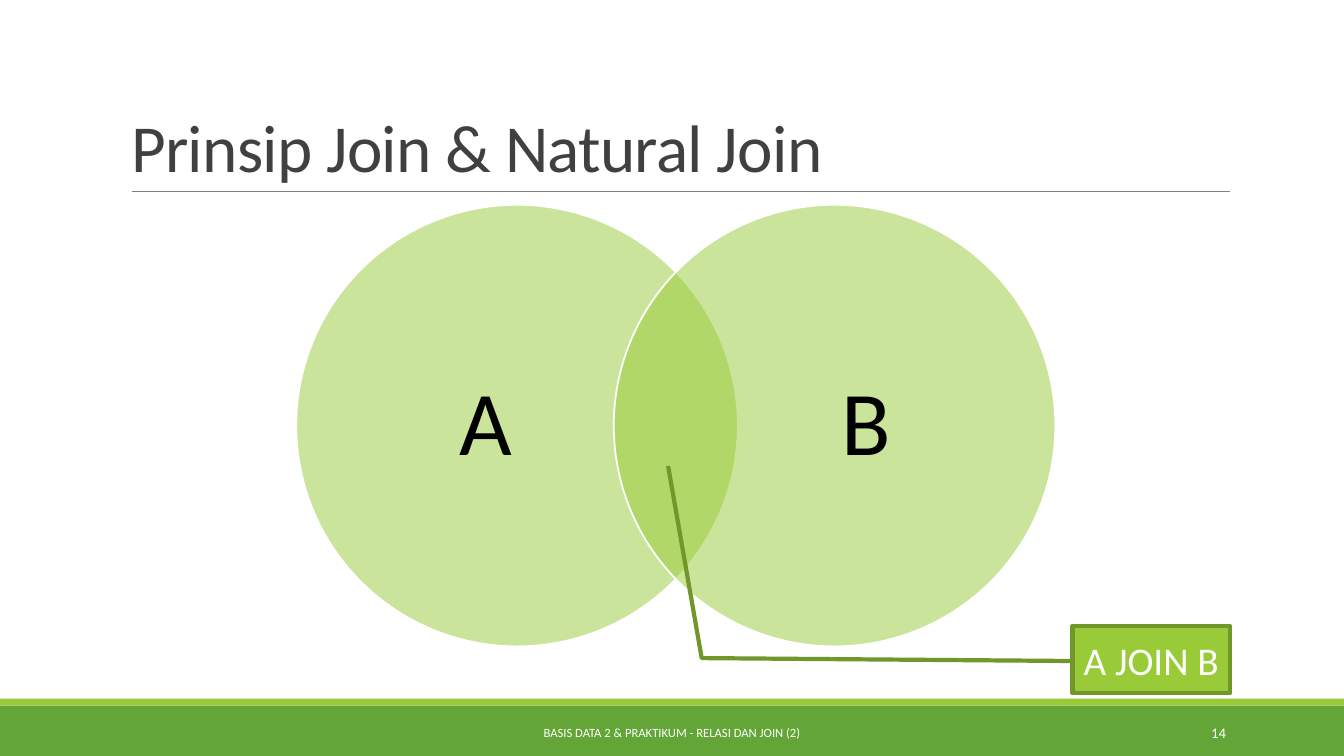
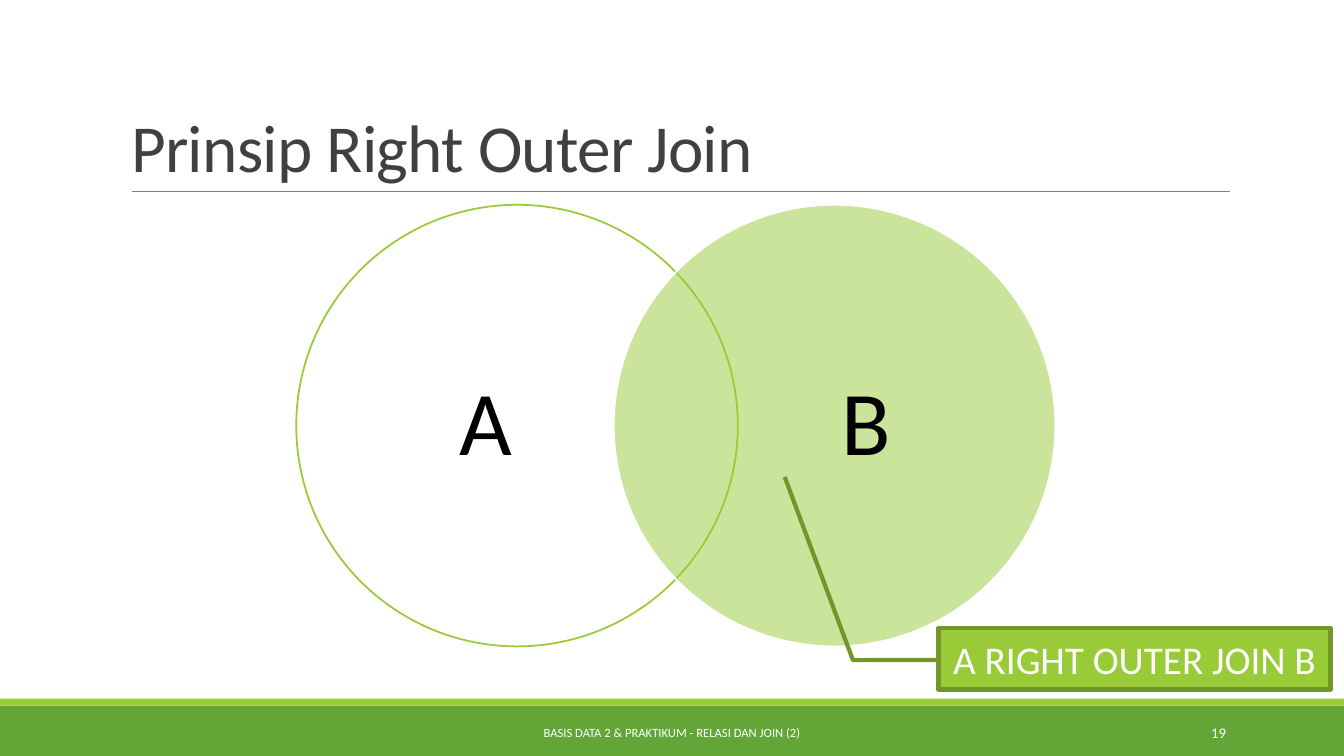
import pptx
import pptx.util
import pptx.dml.color
import pptx.enum.shapes
import pptx.enum.text
import pptx.oxml.ns
import lxml.etree

Pt = pptx.util.Pt
RGB = pptx.dml.color.RGBColor
SHAPE = pptx.enum.shapes.MSO_SHAPE
ALIGN = pptx.enum.text.PP_ALIGN
ANCHOR = pptx.enum.text.MSO_ANCHOR
qn = pptx.oxml.ns.qn

GREEN = RGB(0x63, 0xA5, 0x37)
LIME = RGB(0x99, 0xCB, 0x38)
OLIVE = RGB(0x71, 0x96, 0x29)
GRAY = RGB(0x80, 0x80, 0x80)
CHARCOAL = RGB(0x40, 0x40, 0x40)
WHITE = RGB(0xFF, 0xFF, 0xFF)
BLACK = RGB(0, 0, 0)
FONT = "Calibri"

FOOTER = "BASIS DATA 2 & PRAKTIKUM - RELASI DAN JOIN (2)"
FILLED = (LIME, WHITE)
HOLLOW = (WHITE, LIME)
SLIDES = [
    {
        "title": "Prinsip Join & Natural Join",
        "number": "14",
        "sets": [("A", FILLED), ("B", FILLED)],
        "result": "A JOIN B",
        "result_box": (766.1, 447.1, 112.4, 48.2),
        "bend": (501.2, 470.1),
        "tip": (477.2, 332.8),
    },
    {
        "title": "Prinsip Right Outer Join",
        "number": "19",
        "sets": [("A", HOLLOW), ("B", FILLED)],
        "result": "A RIGHT OUTER JOIN B",
        "result_box": (670.3, 448.6, 280.1, 43.9),
        "bend": (609.2, 471.5),
        "tip": (560.5, 340.7),
    },
]

WIDTH, HEIGHT = 960, 540
BANDS = [(504, 36, GREEN), (499, 5, LIME)]
DIAMETER = 315.4
CENTER_Y = 304
FIRST_CENTER_X, CENTER_GAP = 369.3, 226.8
LABEL_SHIFT = 22.6
LABEL_WIDTH, LABEL_HEIGHT = 181.4, 240.5


def points(*lengths):
    return [Pt(length) for length in lengths]


def write(frame, text, size, color, align, anchor, inset=None):
    frame.word_wrap = True
    frame.auto_size = pptx.enum.text.MSO_AUTO_SIZE.NONE
    frame.vertical_anchor = anchor
    if inset is not None:
        frame.margin_left = frame.margin_right = Pt(inset)
        frame.margin_top = frame.margin_bottom = Pt(inset)
    frame.text = text
    paragraph = frame.paragraphs[0]
    paragraph.alignment = align
    paragraph.font.name = FONT
    paragraph.font.size = Pt(size)
    paragraph.font.color.rgb = color
    return paragraph


def add_text(slide, box, *style, **options):
    textbox = slide.shapes.add_textbox(*points(*box))
    return write(textbox.text_frame, *style, **options)


def add_filled(slide, preset, box, fill, line=None, line_width=1.25):
    shape = slide.shapes.add_shape(preset, *points(*box))
    shape.shadow.inherit = False
    shape.fill.solid()
    shape.fill.fore_color.rgb = fill
    if line is None:
        shape.line.fill.background()
    else:
        shape.line.color.rgb = line
        shape.line.width = Pt(line_width)
    return shape


def add_frame(slide, title, number):
    for top, height, color in BANDS:
        add_filled(slide, SHAPE.RECTANGLE, (0, top, WIDTH, height), color)

    rule = slide.shapes.add_connector(
        pptx.enum.shapes.MSO_CONNECTOR.STRAIGHT, *points(94.3, 136.6, 878.9, 136.6))
    rule.line.color.rgb = GRAY
    rule.line.width = Pt(0.5)
    lxml.etree.SubElement(rule._element.spPr, qn("a:effectLst"))

    heading = slide.shapes.title
    heading.left, heading.top, heading.width, heading.height = points(86.4, 22.6, 792, 114.2)
    paragraph = write(heading.text_frame, title, 48, CHARCOAL, ALIGN.LEFT, ANCHOR.BOTTOM)
    paragraph.line_spacing = 0.85
    paragraph.runs[0].font._element.set("spc", "-50")

    add_text(slide, (290.2, 508.6, 379.4, 28.8), FOOTER, 9, WHITE, ALIGN.CENTER, ANCHOR.MIDDLE)
    add_text(slide, (779.8, 508.6, 103, 28.8), number, 10.5, WHITE, ALIGN.RIGHT, ANCHOR.MIDDLE)


def add_venn(slide, sets):
    for index, (label, (fill, outline)) in enumerate(sets):
        center_x = FIRST_CENTER_X + index * CENTER_GAP
        circle = add_filled(
            slide, SHAPE.OVAL,
            (center_x - DIAMETER / 2, CENTER_Y - DIAMETER / 2, DIAMETER, DIAMETER),
            fill, outline)
        color = circle._element.spPr.find(qn("a:solidFill")).find(qn("a:srgbClr"))
        lxml.etree.SubElement(color, qn("a:alpha")).set("val", "50000")

        label_x = center_x + (LABEL_SHIFT if index else -LABEL_SHIFT)
        label_box = (label_x - LABEL_WIDTH / 2, CENTER_Y - LABEL_HEIGHT / 2,
                     LABEL_WIDTH, LABEL_HEIGHT)
        paragraph = add_text(slide, label_box, label, 65, BLACK,
                             ALIGN.CENTER, ANCHOR.MIDDLE, inset=0)
        paragraph.line_spacing = 0.9


def add_result(slide, text, box, bend, tip):
    left, top, width, height = box
    callout = add_filled(slide, SHAPE.LINE_CALLOUT_2, box, LIME, OLIVE, 3)
    start = (left - 0.8, top + height * 0.52)
    for index, (x, y) in enumerate((start, bend, tip)):
        callout.adjustments[2 * index] = (y - top) / height
        callout.adjustments[2 * index + 1] = (x - left) / width
    write(callout.text_frame, text, 28, WHITE, ALIGN.CENTER, ANCHOR.MIDDLE)


def main():
    deck = pptx.Presentation()
    deck.slide_width, deck.slide_height = points(WIDTH, HEIGHT)
    for content in SLIDES:
        slide = deck.slides.add_slide(deck.slide_layouts[5])
        add_frame(slide, content["title"], content["number"])
        add_venn(slide, content["sets"])
        add_result(slide, content["result"], content["result_box"],
                   content["bend"], content["tip"])
    deck.save("out.pptx")


if __name__ == "__main__":
    main()
